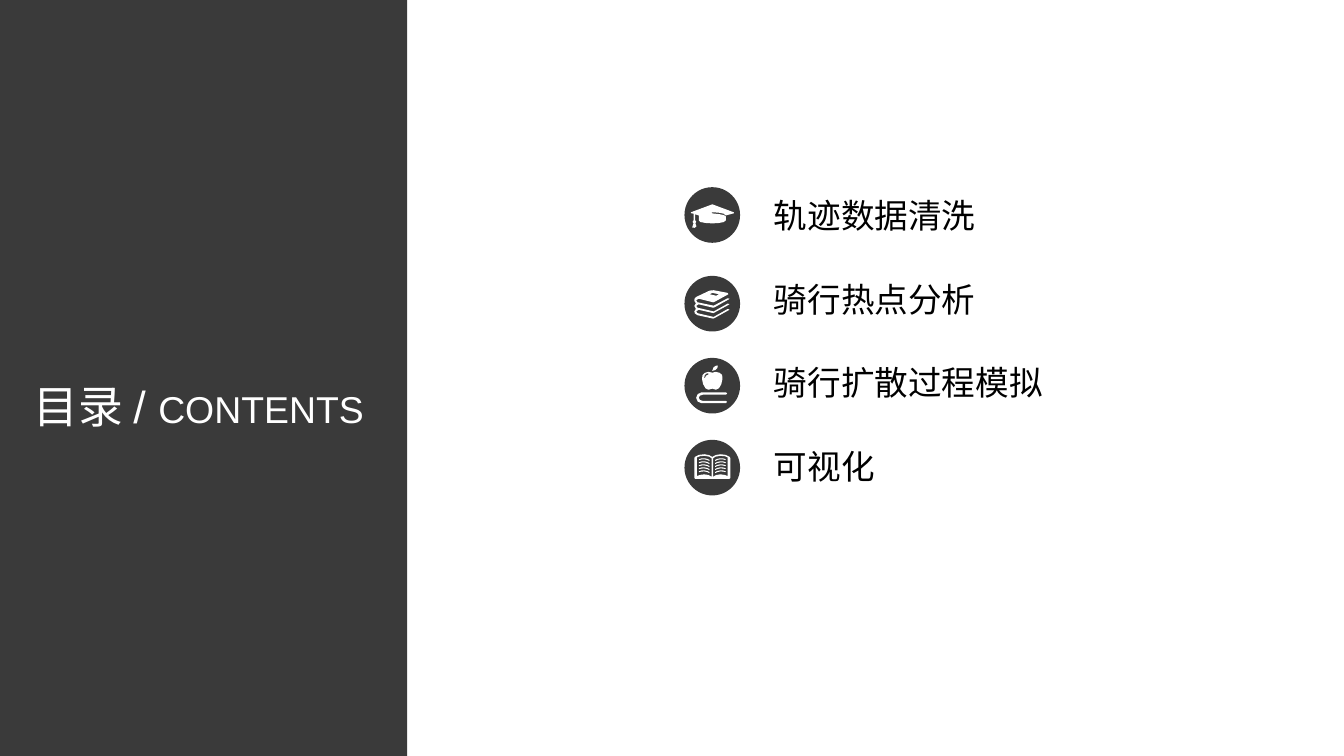
from lxml import etree
from pptx import Presentation
from pptx.dml.color import RGBColor
from pptx.enum.shapes import MSO_SHAPE
from pptx.enum.text import MSO_ANCHOR, MSO_AUTO_SIZE, PP_ALIGN
from pptx.oxml.ns import qn
from pptx.util import Inches, Pt

RECTANGLE, OVAL = MSO_SHAPE.RECTANGLE, MSO_SHAPE.OVAL
LEFT, CENTER = PP_ALIGN.LEFT, PP_ALIGN.CENTER
MIDDLE, FIXED = MSO_ANCHOR.MIDDLE, MSO_AUTO_SIZE.NONE
COLORS = {"dark": "3A3A3A", "white": "FFFFFF", "black": "000000"}
CJK_FONT = "Noto Sans CJK SC"
TITLE_ONLY = 5

SLIDE_WIDTH = 10
SLIDE_HEIGHT = SLIDE_WIDTH * 9 / 16
ICON_LEFT, ICON_SIZE = 5.1, 0.4
LABEL_LEFT, LABEL_TOP, LABEL_BOTTOM = 5.66, 1.4, 3.27
LABEL_STEP = (LABEL_BOTTOM - LABEL_TOP) / 3
MILLI_INCH = Inches(1) / 1000


def write(box, text, size, font="Arial", color="black", align=LEFT):
    """Add a formatted run to the first paragraph of a box."""
    para = box.text_frame.paragraphs[0]
    para.alignment = align
    span = para.add_run()
    span.text = text
    span.font.size = Pt(size)
    span.font.name = font
    span.font.color.rgb = RGBColor.from_string(COLORS[color])
    east_asian = etree.SubElement(span.font._element, qn("a:ea"))
    east_asian.set("typeface", CJK_FONT)


def draw_glyph(group, contours, top):
    """Fill closed contours given in milli-inches from the disc's corner."""
    builder = group.shapes.build_freeform(*contours[0][0], scale=MILLI_INCH)
    builder.add_line_segments(contours[0][1:], close=True)
    for contour in contours[1:]:
        builder.move_to(*contour[0])
        builder.add_line_segments(contour[1:], close=True)
    glyph = builder.convert_to_shape(Inches(ICON_LEFT), Inches(top))
    glyph.fill.solid()
    glyph.fill.fore_color.rgb = RGBColor.from_string(COLORS["white"])
    glyph.line.fill.background()
    glyph.shadow.inherit = False


# Icon outlines
CAP = [[(40, 180), (200, 120), (360, 180), (360, 187), (300, 203), (285, 190),
        (245, 182), (200, 180), (190, 183), (200, 188), (250, 193), (285, 200),
        (300, 210), (300, 240), (285, 252), (250, 259), (200, 262), (150, 259),
        (112, 252), (100, 240), (100, 203), (72, 194), (72, 238), (80, 250),
        (74, 262), (82, 284), (68, 295), (50, 292), (60, 262), (53, 250),
        (61, 238), (61, 190), (40, 186)]]
BOOKS = [[(210, 270), (320, 210), (328, 203), (314, 200), (210, 258), (90, 230),
          (80, 217), (98, 205), (205, 230), (212, 230), (320, 170), (328, 163),
          (314, 160), (210, 215), (90, 190), (80, 175), (98, 163), (205, 190),
          (212, 189), (320, 130), (314, 120), (210, 100), (180, 103), (80, 150),
          (68, 162), (66, 180), (78, 197), (66, 217), (78, 240), (66, 257),
          (70, 273), (90, 286), (205, 311), (212, 310), (320, 250), (328, 243),
          (314, 240), (210, 299), (90, 271), (80, 258), (98, 246), (205, 270)],
         [(200, 120), (250, 130), (228, 141), (180, 130)]]
APPLE = [[(310, 320), (302, 330), (120, 330), (92, 318), (80, 290), (92, 262),
          (120, 250), (302, 250), (310, 258), (302, 267), (130, 267),
          (108, 274), (100, 290), (108, 306), (130, 313), (302, 313)],
         [(200, 90), (222, 84), (238, 68), (242, 50), (230, 50), (210, 62)],
         [(274, 120), (255, 104), (228, 97), (201, 103), (172, 97), (145, 104),
          (128, 122), (124, 150), (132, 188), (150, 219), (172, 230),
          (200, 222), (228, 230), (250, 219), (268, 188), (276, 150)],
         [(172, 116), (154, 125), (146, 143), (140, 143), (144, 122),
          (156, 110), (172, 108)]]
BOOK = [[(330, 120), (300, 105), (260, 100), (225, 106), (200, 120), (175, 106),
         (140, 100), (100, 105), (70, 120), (66, 130), (66, 278), (75, 284),
         (325, 284), (334, 278), (334, 130)],
        [(194, 130), (194, 268), (172, 255), (140, 250), (110, 254), (86, 262),
         (86, 124), (108, 115), (140, 112), (176, 118)],
        [(314, 124), (314, 262), (290, 254), (260, 250), (228, 255), (206, 268),
         (206, 130), (224, 118), (260, 112), (294, 115)]]
TEXT_LINE = [(100, 137), (120, 131), (142, 130), (164, 135), (180, 143),
             (178, 150), (160, 142), (140, 138), (120, 139), (103, 143)]
LINE_COUNT, LINES_HEIGHT = 5, 0.09

deck = Presentation()
deck.slide_width, deck.slide_height = Inches(SLIDE_WIDTH), Inches(SLIDE_HEIGHT)
page = deck.slides.add_slide(deck.slide_layouts[TITLE_ONLY])

# Side panel, placed behind the title
panel = page.shapes.add_shape(RECTANGLE, 0, 0, Inches(3.03), deck.slide_height)
panel.fill.solid()
panel.fill.fore_color.rgb = RGBColor.from_string(COLORS["dark"])
panel.line.fill.background()
panel.shadow.inherit = False

title = page.shapes.title
title.element.addprevious(panel.element)
title.left, title.top = Inches(0.11), Inches(2.76)
title.width, title.height = Inches(2.74), Inches(0.51)
title.text_frame.auto_size = FIXED
title.text_frame.vertical_anchor = MIDDLE
write(title, "目录 / ", 24, color="white", align=CENTER)
write(title, "CONTENTS", 20, color="white", align=CENTER)

# Contents: label, label width, icon top, icon outline
entries = [
    ("轨迹数据清洗", 1.7, 1.4, CAP),
    ("骑行热点分析", 1.7, 2.06, BOOKS),
    ("骑行扩散过程模拟", 2.2, 2.67, APPLE),
    ("可视化", 0.95, 3.28, BOOK),
]
for row, (label, width, icon_top, outline) in enumerate(entries):
    box = page.shapes.add_textbox(
        Inches(LABEL_LEFT), Inches(LABEL_TOP + row * LABEL_STEP),
        Inches(width), Inches(0.4))
    box.text_frame.word_wrap = False
    write(box, label, 18, font=CJK_FONT)

    icon = page.shapes.add_group_shape()
    disc = icon.shapes.add_shape(
        OVAL, Inches(ICON_LEFT), Inches(icon_top),
        Inches(ICON_SIZE), Inches(ICON_SIZE))
    disc.fill.solid()
    disc.fill.fore_color.rgb = RGBColor.from_string(COLORS["dark"])
    disc.line.color.rgb = RGBColor.from_string(COLORS["dark"])
    disc.line.width = Pt(1)
    disc.shadow.inherit = False
    draw_glyph(icon, outline, icon_top)

    # Lines of print, mirrored about the spine of the open book
    if outline is BOOK:
        for line in range(LINE_COUNT):
            line_top = icon_top + line * LINES_HEIGHT / (LINE_COUNT - 1)
            draw_glyph(icon, [TEXT_LINE], line_top)
            draw_glyph(icon, [[(400 - x, y) for x, y in TEXT_LINE]], line_top)

deck.save("out.pptx")
